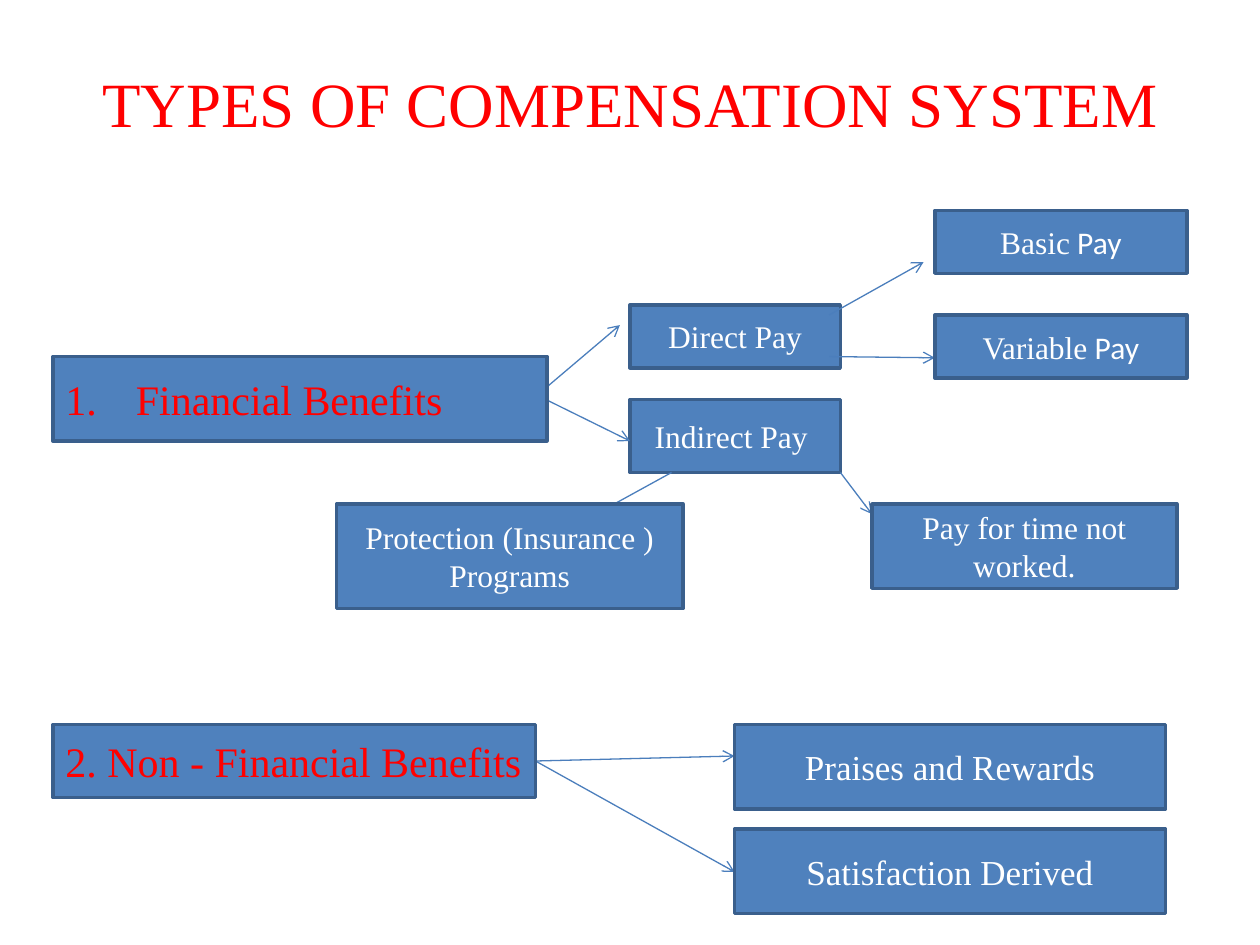
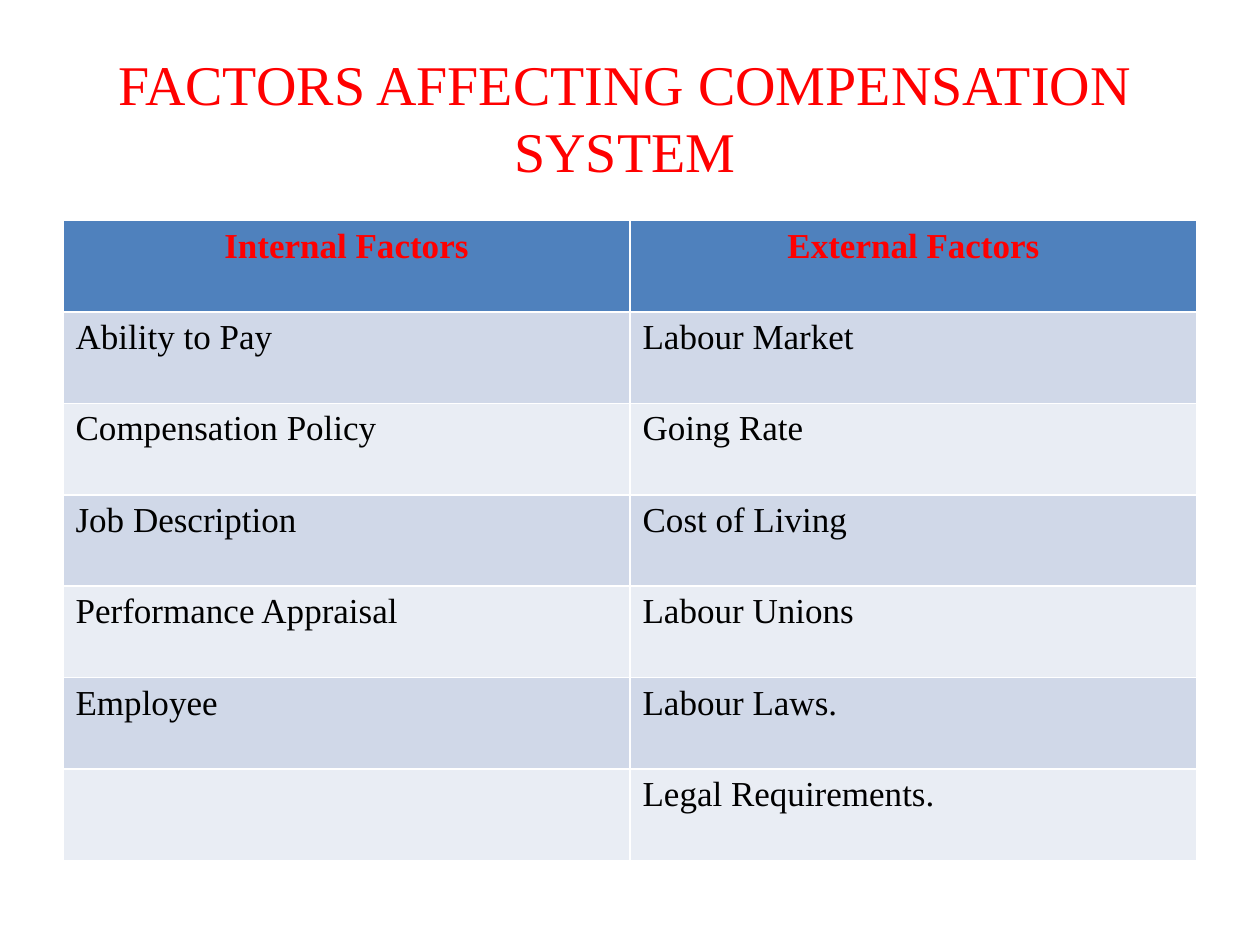
from lxml import etree
from pptx import Presentation, util as u
from pptx.dml import color
from pptx.enum import shapes, text
from pptx.oxml import ns

SERIF = "Times New Roman"
RED, WHITE, BLACK = "FF0000", "FFFFFF", "000000"
BLUE, BOX_EDGE, ARROW = "4F81BD", "3A5F8C", "4B7EBC"
BANDS = ["D0D8E8", "E9EDF4"]
CENTER, LEFT = text.PP_ALIGN.CENTER, text.PP_ALIGN.LEFT
HEADING = {"size": 24, "hue": RED, "align": LEFT}
REWARD = {"size": 20}


def rgb(value):
    return color.RGBColor.from_string(value)


def write(frame, wording, size=18, hue=WHITE, align=CENTER, bold=False):
    frame.word_wrap = True
    paragraph = frame.paragraphs[0]
    paragraph.alignment = align
    for words, font_name in wording:
        run = paragraph.add_run()
        run.text = words
        run.font.color.rgb = rgb(hue)
        values = {"name": font_name, "size": u.Pt(size), "bold": bold}
        for name, value in values.items():
            setattr(run.font, name, value)
    return paragraph


presentation = Presentation()
presentation.slide_width = u.Inches(10)
presentation.slide_height = u.Inches(7.5)

titles = [
    ("TYPES OF COMPENSATION SYSTEM", 36, (0.5, 0.3, 9, 1.03)),
    ("FACTORS AFFECTING COMPENSATION SYSTEM", 32, (0.25, 0.3, 9.42, 1.25)),
]
slides = []
for title, size, place in titles:
    slide = presentation.slides.add_slide(presentation.slide_layouts[6])
    frame = slide.shapes.add_textbox(*map(u.Inches, place)).text_frame
    write(frame, [(title, SERIF)], size, RED)
    frame.vertical_anchor = text.MSO_ANCHOR.MIDDLE
    slides.append(slide)
types_slide, factors_slide = slides

pay_boxes = [
    ([("Direct Pay", SERIF)], (5, 2.42, 1.67, 0.5), {}),
    ([("Indirect Pay ", SERIF)], (5, 3.17, 1.67, 0.58), {}),
]
arrows = [
    (4.33, 3.08, 4.92, 2.58),
    (4.33, 3.17, 5, 3.5),
    (6.58, 2.5, 7.33, 2.08),
    (6.58, 2.83, 7.42, 2.84),
    (5.33, 3.75, 4.42, 4.25),
    (6.67, 3.75, 6.92, 4.08),
    (4.25, 6.04, 5.83, 6),
    (4.25, 6.04, 5.83, 6.92),
]
outer_boxes = [
    ([("Basic", SERIF), (" Pay", "Calibri")], (7.42, 1.67, 2, 0.5), {}),
    ([("Variable", SERIF), (" Pay", "Calibri")], (7.42, 2.5, 2, 0.5), {}),
    ([("Protection (Insurance ) Programs", SERIF)], (2.67, 4, 2.75, 0.83), {}),
    ([("Pay for time not worked.", SERIF)], (6.92, 4, 2.42, 0.67), {}),
    ([("Financial Benefits", SERIF)], (0.42, 2.83, 3.92, 0.67), HEADING),
    ([("2. Non - Financial Benefits", SERIF)], (0.42, 5.75, 3.83, 0.58), HEADING),
    ([("Praises and Rewards", SERIF)], (5.83, 5.75, 3.42, 0.67), REWARD),
    ([("Satisfaction Derived", SERIF)], (5.83, 6.58, 3.42, 0.67), REWARD),
]

for boxes, box_arrows in [(pay_boxes, arrows), (outer_boxes, [])]:
    for wording, place, style in boxes:
        box = types_slide.shapes.add_shape(
            shapes.MSO_SHAPE.RECTANGLE, *map(u.Inches, place))
        box.shadow.inherit = False
        box.fill.solid()
        box.fill.fore_color.rgb = rgb(BLUE)
        box.line.color.rgb = rgb(BOX_EDGE)
        box.line.width = u.Pt(2)
        box.text_frame.vertical_anchor = text.MSO_ANCHOR.MIDDLE
        paragraph = write(box.text_frame, wording, **style)
        if style is HEADING:
            properties = paragraph._p.get_or_add_pPr()
            properties.set("marL", str(u.Inches(0.56)))
            properties.set("indent", str(-u.Inches(0.56)))
            if wording[0][0] == "Financial Benefits":
                etree.SubElement(properties, ns.qn("a:buAutoNum"), type="arabicPeriod")

    for ends in box_arrows:
        arrow = types_slide.shapes.add_connector(
            shapes.MSO_CONNECTOR.STRAIGHT, *map(u.Inches, ends))
        arrow.line.color.rgb = rgb(ARROW)
        arrow.line.width = u.Pt(0.75)
        etree.SubElement(arrow.line._get_or_add_ln(), ns.qn("a:tailEnd"), type="arrow")
        etree.SubElement(arrow._element.spPr, ns.qn("a:effectLst"))

factors = [
    ("Internal Factors", "External Factors"),
    ("Ability to Pay", "Labour Market"),
    ("Compensation Policy", "Going Rate"),
    ("Job Description", "Cost of Living"),
    ("Performance Appraisal", "Labour Unions"),
    ("Employee", "Labour Laws."),
    ("", "Legal Requirements."),
]
table = factors_slide.shapes.add_table(
    len(factors), 2, *map(u.Inches, (0.5, 1.75, 9, 5.08))).table
for row, pair in enumerate(factors):
    header = row == 0
    for column, factor in enumerate(pair):
        cell = table.cell(row, column)
        cell.fill.solid()
        cell.fill.fore_color.rgb = rgb(BLUE if header else BANDS[(row - 1) % 2])
        if factor:
            write(cell.text_frame, [(factor, SERIF)], 20,
                  RED if header else BLACK, CENTER if header else LEFT, header)

presentation.save("out.pptx")
